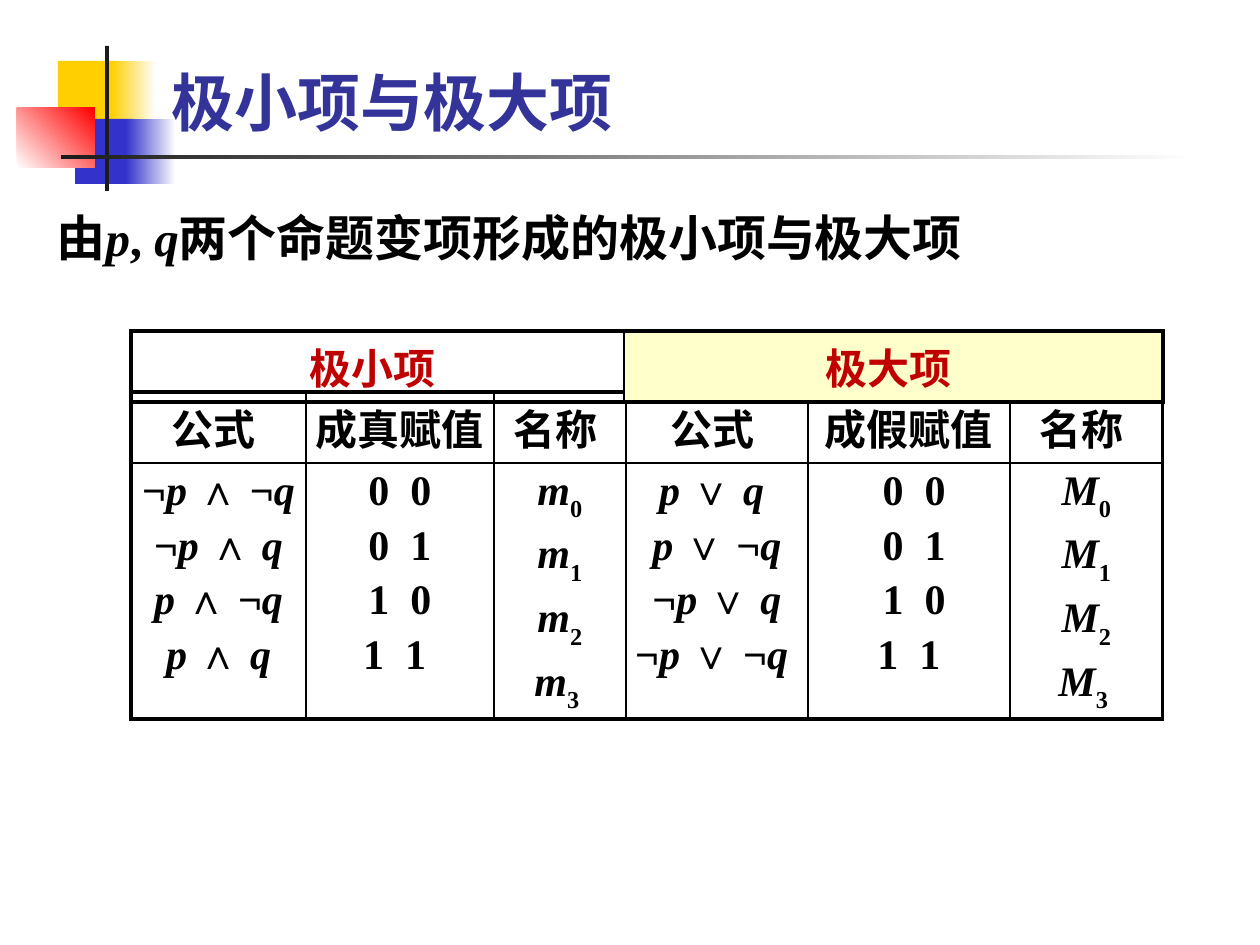
from dataclasses import dataclass
from itertools import groupby

from lxml import etree
from pptx import Presentation
from pptx.dml.color import RGBColor
from pptx.enum import shapes, text
from pptx.oxml.ns import qn
from pptx.util import Emu, Pt

PIXEL = 914400 // 126
COLORS = {
    "yellow": "FFCF01", "blue": "3333CC", "red": "FF0000", "white": "FFFFFF",
    "dark": "1C1C1C", "title": "333399", "black": "000000",
    "heading": "C00000", "cream": "FFFFCC",
}
CJK, LATIN = "Noto Sans CJK SC", "Times New Roman"
THICK, THIN = 2.25, 1
CENTER = text.PP_ALIGN.CENTER


@dataclass
class Block:
    left: int
    top: int
    width: int
    height: int
    color: str
    end_color: str = ""
    angle: int = 0


@dataclass
class CellText:
    lines: list[str]
    font: str = CJK
    color: str = "black"
    subscript: bool = False
    fill: str = ""


def px(value: float) -> Emu:
    return Emu(round(value * PIXEL))


def rgb(name: str) -> RGBColor:
    return RGBColor.from_string(COLORS[name])


def place(shape, left: int, top: int, width: int, height: int) -> None:
    shape.left, shape.top = px(left), px(top)
    shape.width, shape.height = px(width), px(height)


def draw_block(slide, block: Block) -> None:
    shape = slide.shapes.add_shape(
        shapes.MSO_SHAPE.RECTANGLE, px(block.left), px(block.top),
        px(block.width), px(block.height))
    shape.shadow.inherit = False
    shape.line.fill.background()
    if not block.end_color:
        shape.fill.solid()
        shape.fill.fore_color.rgb = rgb(block.color)
        return
    shape.fill.gradient()
    shape.fill.gradient_angle = block.angle
    for stop, name in zip(shape.fill.gradient_stops, (block.color, block.end_color)):
        stop.color.rgb = rgb(name)


def is_variable(character: str) -> bool:
    return character.isascii() and character.isalpha()


def write_line(paragraph, line: str, size: int, font: str, color: str,
               subscript: bool = False) -> None:
    """Variables become italic; the rest may be lowered as an index."""
    for italic, characters in groupby(line, is_variable):
        run = paragraph.add_run()
        run.text = "".join(characters)
        run.font.size, run.font.name = Pt(size), font
        run.font.bold, run.font.italic = True, italic
        run.font.color.rgb = rgb(color)
        properties = run.font._element
        etree.SubElement(properties, qn("a:ea")).set("typeface", CJK)
        if subscript and not italic:
            properties.set("baseline", "-30000")


def space_before(paragraph, percent: int) -> None:
    paragraph.space_before = Pt(0)
    spacing = paragraph._p.pPr.find(qn("a:spcBef"))
    spacing.remove(spacing[0])
    etree.SubElement(spacing, qn("a:spcPct")).set("val", str(percent * 1000))


def set_borders(cell, **widths: float) -> None:
    properties = cell._tc.get_or_add_tcPr()
    for side in "LRTB":
        line = etree.SubElement(properties, qn(f"a:ln{side}"))
        line.set("w", str(Pt(widths[side])))
        fill = etree.SubElement(line, qn("a:solidFill"))
        etree.SubElement(fill, qn("a:srgbClr")).set("val", COLORS["black"])


def draw_table(slide, left: int, top: int, columns: list[int], heights: list[int],
               rows: list[list[CellText]]) -> None:
    frame = slide.shapes.add_table(
        len(rows), len(columns), px(left), px(top), px(sum(columns)), px(sum(heights)))
    table = frame.table
    table.first_row = table.horz_banding = False
    for column, width in zip(table.columns, columns):
        column.width = px(width)
    for i, (row, height) in enumerate(zip(rows, heights)):
        table.rows[i].height = px(height)
        for j, content in enumerate(row):
            cell = table.cell(i, j)
            cell.margin_left = cell.margin_right = px(9)
            cell.margin_top = cell.margin_bottom = px(5)
            set_borders(
                cell,
                L=THIN if j else THICK,
                R=THICK if j == len(columns) - 1 else THIN,
                T=THIN if i else THICK,
                B=THICK if i == len(rows) - 1 else THIN)
            if content.fill:
                cell.fill.solid()
                cell.fill.fore_color.rgb = rgb(content.fill)
            else:
                cell.fill.background()
            for k, line in enumerate(content.lines):
                frame_text = cell.text_frame
                paragraph = frame_text.add_paragraph() if k else frame_text.paragraphs[0]
                paragraph.alignment = CENTER
                space_before(paragraph, 20)
                write_line(paragraph, line, 24, content.font, content.color,
                           content.subscript)


presentation = Presentation()
presentation.slide_width, presentation.slide_height = px(1260), px(945)
slide = presentation.slides.add_slide(presentation.slide_layouts[1])

# Corner ornament and rule
for block in (
    Block(58, 61, 60, 65, "yellow"),
    Block(111, 61, 45, 65, "yellow", "white"),
    Block(75, 119, 58, 65, "blue"),
    Block(126, 119, 50, 65, "blue", "white"),
    Block(17, 108, 78, 60, "white", "red", 45),
    Block(105, 46, 4, 145, "dark"),
    Block(61, 155, 1134, 4, "dark", "white"),
):
    draw_block(slide, block)

# Title and lead sentence, in front of the ornament
title, body = slide.placeholders
place(title, 159, 10, 1073, 135)
place(body, 44, 195, 1171, 102)
for placeholder, line, size, font, color, anchor in (
    (title, "极小项与极大项", 36, CJK, "title", text.MSO_ANCHOR.BOTTOM),
    (body, "由p, q两个命题变项形成的极小项与极大项 ", 28, LATIN, "black",
     text.MSO_ANCHOR.TOP),
):
    slide.shapes._spTree.append(placeholder._element)
    placeholder.text_frame.auto_size = text.MSO_AUTO_SIZE.NONE
    placeholder.text_frame.vertical_anchor = anchor
    paragraph = placeholder.text_frame.paragraphs[0]
    paragraph.alignment = text.PP_ALIGN.LEFT
    write_line(paragraph, line, size, font, color)

lead = body.text_frame.paragraphs[0]
lead.line_spacing = 1.1
space_before(lead, 30)
lead._p.pPr.set("marL", "0")
lead._p.pPr.set("indent", "0")
etree.SubElement(lead._p.pPr, qn("a:buNone"))

# Terms table
headings = ["公式 ", "成真赋值", "名称 ", "公式 ", "成假赋值", "名称 "]
assignments = ["0  0", "0  1", "1  0", "1  1 "]
indices = ["0", "1", "2", "3 "]
terms = [
    CellText(["¬p ∧ ¬q", "¬p ∧ q", "p ∧ ¬q", "p ∧ q"], LATIN),
    CellText(assignments, LATIN),
    CellText([f"m{index}" for index in indices], LATIN, subscript=True),
    CellText(["p ∨ q ", "p ∨ ¬q", "¬p ∨ q", "¬p ∨ ¬q "], LATIN),
    CellText([f" {assignment}" for assignment in assignments], LATIN),
    CellText([f"M{index}" for index in indices], LATIN, subscript=True),
]
draw_table(slide, 131, 392, [175, 188, 132, 182, 202, 153], [63, 219],
           [[CellText([heading]) for heading in headings], terms])

# Group headings above the terms
draw_table(slide, 131, 331, [493, 539], [54],
           [[CellText(["极小项 "], color="heading"),
             CellText(["极大项 "], color="heading", fill="cream")]])

presentation.save("out.pptx")
